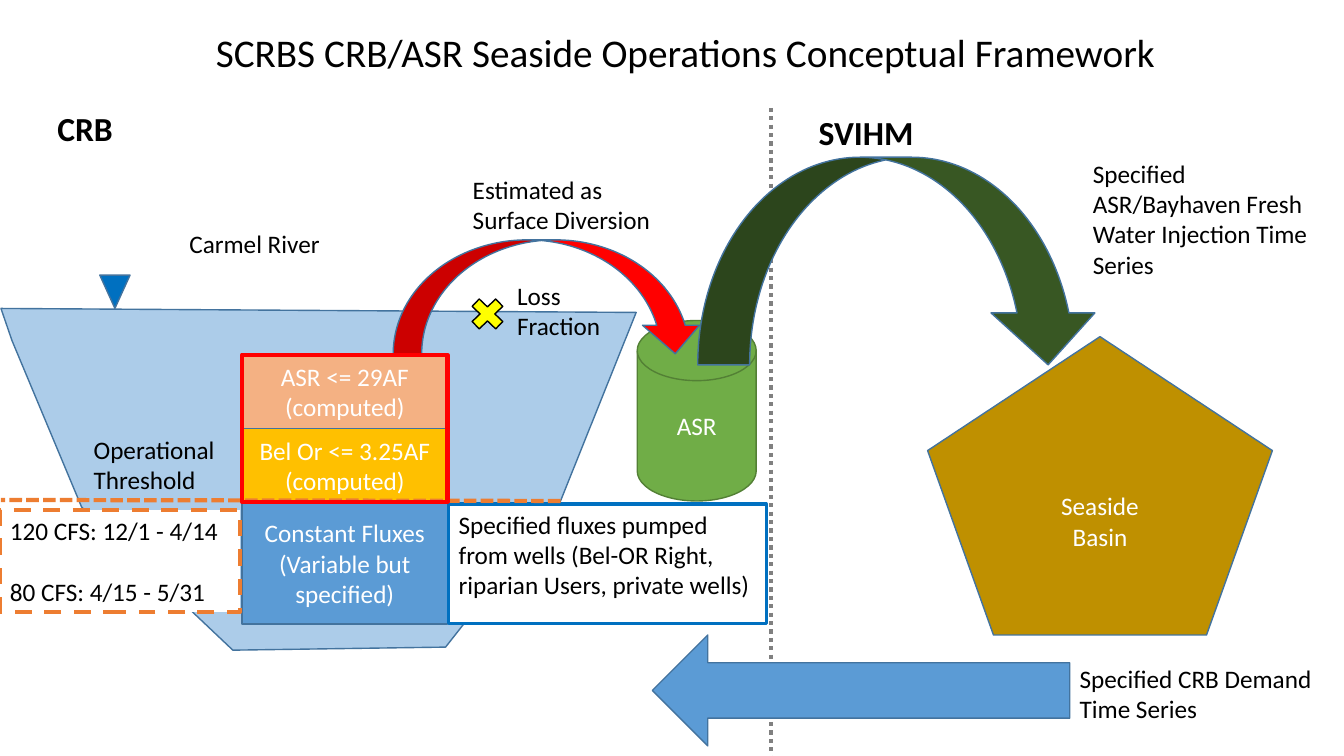
"""Build the CRB/ASR Seaside operations conceptual framework slide."""
from dataclasses import dataclass
from typing import Optional

import pptx
import pptx.dml.color
import pptx.enum.dml
import pptx.enum.shapes
import pptx.enum.text
import pptx.oxml
import pptx.oxml.ns
import pptx.util

Inches = pptx.util.Inches
Kind = pptx.enum.shapes.MSO_SHAPE
Dash = pptx.enum.dml.MSO_LINE
Align = pptx.enum.text.PP_ALIGN
Anchor = pptx.enum.text.MSO_ANCHOR

FONT = "Calibri"
BLACK, WHITE, RED = "000000", "FFFFFF", "FF0000"
BLUE, OUTLINE, DEEP_BLUE, ORANGE = "5B9BD5", "43739E", "0070C0", "ED7D31"
STACK_LEFT, STACK_WIDTH, STACK_TOP, ROW_HEIGHT = 2.4, 2.04, 3.52, 0.73
THRESHOLD = STACK_TOP + 2 * ROW_HEIGHT
RIVER = [(0.12, 3.38), (0.81, 5.03), (2.31, 6.45), (4.42, 6.42),
         (5.56, 4.97), (6.31, 3.1), (0.01, 3.06)]


@dataclass
class Block:
    kind: Kind
    left: float
    top: float
    width: float
    height: float
    fill: Optional[str]
    text: str = ""
    line: str = OUTLINE
    weight: float = 1
    dash: Optional[Dash] = None
    color: str = WHITE
    align: Align = Align.CENTER
    anchor: Anchor = Anchor.MIDDLE
    gap: float = 0


@dataclass
class Label:
    text: str
    left: float
    top: float
    width: float
    height: float
    size: float = 18
    bold: bool = False


@dataclass
class Rule:
    start: tuple[float, float]
    end: tuple[float, float]
    color: str
    dash: Dash


def rgb(color: str) -> pptx.dml.color.RGBColor:
    """Return the colour for a hex string."""
    return pptx.dml.color.RGBColor.from_string(color)


def write(frame, text: str, size: float, color: str, align: Align,
          anchor: Anchor, bold: bool = False, gap: float = 0) -> None:
    """Fill a text frame with one paragraph per line of text."""
    frame.word_wrap = True
    frame.auto_size = pptx.enum.text.MSO_AUTO_SIZE.NONE
    frame.vertical_anchor = anchor
    frame.text = text
    for index, paragraph in enumerate(frame.paragraphs):
        paragraph.alignment = align
        paragraph.space_before = pptx.util.Pt(gap if index else 0)
        paragraph.font.name = FONT
        paragraph.font.size = pptx.util.Pt(size)
        paragraph.font.bold = bold
        paragraph.font.color.rgb = rgb(color)


def paint(shape, fill: Optional[str], line: str, weight: float,
          dash: Optional[Dash] = None) -> None:
    """Set the fill and outline of a shape and remove its shadow."""
    shape.shadow.inherit = False
    if fill:
        shape.fill.solid()
        shape.fill.fore_color.rgb = rgb(fill)
    else:
        shape.fill.background()
    shape.line.color.rgb = rgb(line)
    shape.line.width = pptx.util.Pt(weight)
    if dash:
        shape.line.dash_style = dash


def draw_river(slide) -> None:
    """Draw the half-transparent river cross-section."""
    points = [(Inches(x), Inches(y)) for x, y in RIVER]
    builder = slide.shapes.build_freeform(*points[0])
    builder.add_line_segments(points[1:], close=True)
    river = builder.convert_to_shape()
    paint(river, BLUE, OUTLINE, 1)
    fill_color = river.fill._xPr.find(".//" + pptx.oxml.ns.qn("a:srgbClr"))
    fill_color.append(pptx.oxml.parse_xml(
        f'<a:alpha {pptx.oxml.ns.nsdecls("a")} val="50000"/>'))


def draw_block(slide, block: Block) -> None:
    """Draw one preset shape with its text."""
    shape = slide.shapes.add_shape(
        block.kind, Inches(block.left), Inches(block.top),
        Inches(block.width), Inches(block.height))
    paint(shape, block.fill, block.line, block.weight, block.dash)
    if block.text:
        write(shape.text_frame, block.text, 18, block.color, block.align,
              block.anchor, gap=block.gap)


def draw_label(slide, label: Label) -> None:
    """Draw one text label."""
    box = slide.shapes.add_textbox(
        Inches(label.left), Inches(label.top),
        Inches(label.width), Inches(label.height))
    write(box.text_frame, label.text, label.size, BLACK, Align.LEFT,
          Anchor.TOP, label.bold)


def draw_rule(slide, rule: Rule) -> None:
    """Draw one dashed straight line."""
    connector = slide.shapes.add_connector(
        pptx.enum.shapes.MSO_CONNECTOR.STRAIGHT,
        *map(Inches, rule.start + rule.end))
    connector.line.color.rgb = rgb(rule.color)
    connector.line.width = pptx.util.Pt(3)
    connector.line.dash_style = rule.dash
    connector._element.spPr.append(pptx.oxml.parse_xml(
        f'<a:effectLst {pptx.oxml.ns.nsdecls("a")}/>'))


def stack_block(top: float, height: float, fill: Optional[str], text: str = "",
                line: str = OUTLINE, weight: float = 1) -> Block:
    """Return a rectangle in the stack of river withdrawals."""
    return Block(Kind.RECTANGLE, STACK_LEFT, top, STACK_WIDTH, height, fill,
                 text, line, weight)


def note(left: float, top: float, width: float, height: float, text: str,
         line: str, weight: float, dash: Optional[Dash] = None,
         gap: float = 0) -> Block:
    """Return a white outlined box with left-aligned black text."""
    return Block(Kind.RECTANGLE, left, top, width, height, WHITE, text, line,
                 weight, dash, BLACK, Align.LEFT, Anchor.TOP, gap)


ITEMS = [
    stack_block(THRESHOLD, 1.21, BLUE,
                "Constant Fluxes\n(Variable but specified)"),
    stack_block(STACK_TOP, ROW_HEIGHT, "F4B183", "ASR <= 29AF (computed)"),
    stack_block(STACK_TOP + ROW_HEIGHT, ROW_HEIGHT, "FFC000",
                "Bel Or <= 3.25AF (computed)"),
    note(4.45, 5, 3.15, 1.19, "Specified fluxes pumped from wells (Bel-OR "
         "Right, riparian Users, private wells)", DEEP_BLUE, 2.25),
    Rule((5.56, 4.97), (0.01, 4.96), ORANGE, Dash.SQUARE_DOT),
    Label("Operational Threshold", 0.83, 4.26, 1.42, 0.71),
    note(0, 5.06, 2.38, 1.01, "120 CFS: 12/1 - 4/14\n80 CFS: 4/15 - 5/31",
         ORANGE, 3, Dash.DASH, gap=22),
    Label("Carmel River", 1.78, 2.22, 1.63, 0.4),
    Block(Kind.FLOWCHART_MAGNETIC_DISK, 6.32, 3.18, 1.18, 1.79, "70AD47",
          "ASR", "538035"),
    Block(Kind.CURVED_DOWN_ARROW, 3.9, 2.38, 3.08, 1.13, RED),
    stack_block(STACK_TOP, 2 * ROW_HEIGHT, None, line=RED, weight=3),
    Label("Loss\nFraction", 5.03, 2.73, 1.08, 0.71),
    Block(Kind.REGULAR_PENTAGON, 9.2, 3.34, 3.42, 2.96, "BF9000",
          "Seaside\nBasin"),
    Label("Estimated as Surface Diversion", 4.59, 1.68, 2.25, 0.71),
    Label("Specified ASR/Bayhaven Fresh Water Injection Time Series",
          10.74, 1.52, 2.6, 1.31),
    Label("Specified CRB Demand Time Series", 10.61, 6.53, 2.6, 0.71),
    Rule((7.65, 1.07), (7.65, 7.5), "808080", Dash.ROUND_DOT),
    Label("CRB", 0.47, 1.02, 1.93, 0.5, 24, True),
    Label("SVIHM", 8.02, 1.06, 1.93, 0.5, 24, True),
    Block(Kind.MATH_MULTIPLY, 4.61, 2.9, 0.45, 0.43, "FFFF00", line=BLACK),
    Block(Kind.FLOWCHART_MERGE, 0.99, 2.73, 0.3, 0.33, DEEP_BLUE),
    Block(Kind.LEFT_ARROW, 6.47, 6.3, 4.14, 1.1, BLUE),
    Block(Kind.CURVED_DOWN_ARROW, 6.92, 1.56, 3.99, 2.06, "385723"),
]
DRAWERS = {Block: draw_block, Label: draw_label, Rule: draw_rule}

presentation = pptx.Presentation()
presentation.slide_width = Inches(13.33)
presentation.slide_height = Inches(7.5)
slide = presentation.slides.add_slide(presentation.slide_layouts[5])
title = slide.shapes.title
title.left, title.top = Inches(2.04), Inches(0.23)
title.width, title.height = Inches(11.2), Inches(0.57)
write(title.text_frame, "SCRBS CRB/ASR Seaside Operations Conceptual Framework",
      28, BLACK, Align.LEFT, Anchor.TOP)
draw_river(slide)
for item in ITEMS:
    DRAWERS[type(item)](slide, item)
presentation.save("out.pptx")
